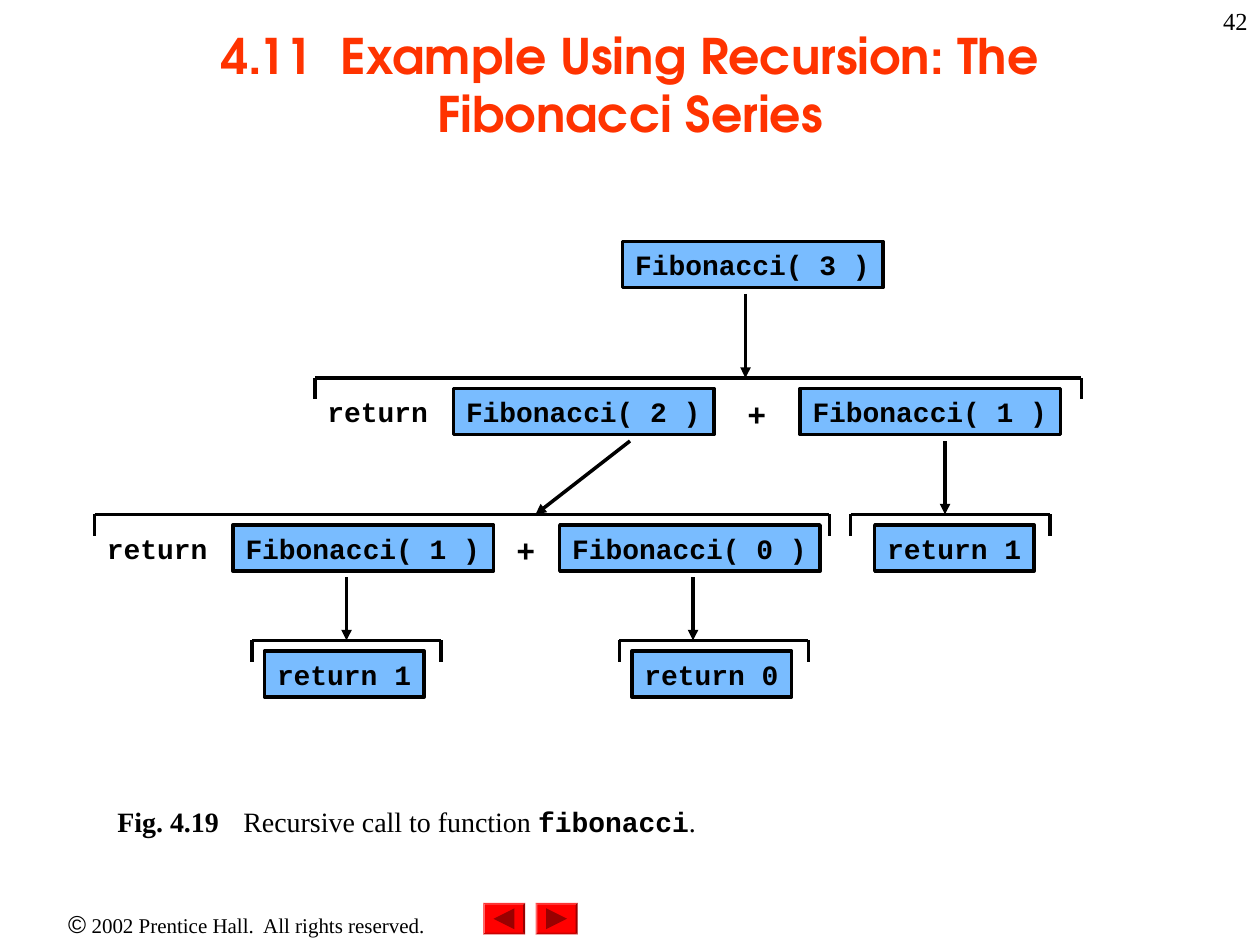
from dataclasses import dataclass

from pptx import Presentation
from pptx import util as u
from pptx.dml.color import RGBColor
from pptx.enum import shapes, text
from pptx.oxml import parse_xml
from pptx.oxml.ns import nsdecls


@dataclass(frozen=True)
class Theme:
    ink: str = "000000"
    heading: str = "FF3300"
    call: str = "79BCFF"
    button: str = "FF0000"
    button_arrow: str = "990000"
    title_font: str = "TeX Gyre Adventor"
    body_font: str = "Times New Roman"
    code_font: str = "Courier New"
    symbol_font: str = "Arial"
    title_size: int = 28
    plus_size: int = 18
    code_size: int = 16
    page_size: int = 14
    notice_size: int = 12
    stroke: float = 2


class RecursionSlide:
    COLUMNS, ROWS = 120, 90

    def __init__(self, deck, theme):
        self.theme = theme
        self.column = deck.slide_width / self.COLUMNS
        self.row = deck.slide_height / self.ROWS
        self.slide = deck.slides.add_slide(deck.slide_layouts[5])

    def place(self, left, top, width, height):
        return [round(share) for share in (left * self.column, top * self.row,
                                           width * self.column, height * self.row)]

    def set_words(self, frame, runs, align=text.PP_ALIGN.LEFT, **frame_format):
        for key, value in frame_format.items():
            setattr(frame, key, value)
        paragraph = frame.paragraphs[0]
        paragraph.alignment = align
        for words, font, size, bold, colour in runs:
            run = paragraph.add_run()
            run.text = words
            for key, value in {"name": font, "size": u.Pt(size), "bold": bold}.items():
                setattr(run.font, key, value)
            run.font.color.rgb = RGBColor.from_string(colour)

    def body(self, words, size, bold=False, font=None):
        return words, font or self.theme.body_font, size, bold, self.theme.ink

    def title(self, words, *area):
        heading = self.slide.shapes.title
        heading.left, heading.top, heading.width, heading.height = self.place(*area)
        theme = self.theme
        self.set_words(heading.text_frame,
                       [(words, theme.title_font, theme.title_size, True, theme.heading)],
                       text.PP_ALIGN.CENTER, word_wrap=True,
                       auto_size=text.MSO_AUTO_SIZE.NONE,
                       vertical_anchor=text.MSO_ANCHOR.MIDDLE)

    def label(self, runs, area, align=text.PP_ALIGN.LEFT):
        label = self.slide.shapes.add_textbox(*self.place(*area))
        self.set_words(label.text_frame, runs, align, word_wrap=True)

    def preset(self, kind, fill, *area):
        shape = self.slide.shapes.add_shape(kind, *self.place(*area))
        shape.shadow.inherit = False
        shape.fill.solid()
        shape.fill.fore_color.rgb = RGBColor.from_string(fill)
        shape.line.fill.background()
        return shape

    def code(self, words, left, top, boxed=True, size=None):
        theme = self.theme
        size = size or theme.code_size
        area = left, top, 2.4 + len(words) * size / 10, 1.2 + size * 0.2
        if boxed:
            holder = self.preset(shapes.MSO_SHAPE.RECTANGLE, theme.call, *area)
            holder.line.color.rgb = RGBColor.from_string(theme.ink)
            holder.line.width = u.Pt(theme.stroke)
        else:
            holder = self.slide.shapes.add_textbox(*self.place(*area))
        self.set_words(holder.text_frame, [self.body(words, size, True, theme.code_font)],
                       word_wrap=False, vertical_anchor=text.MSO_ANCHOR.TOP,
                       auto_size=text.MSO_AUTO_SIZE.SHAPE_TO_FIT_TEXT)

    def line(self, x1, y1, x2, y2, arrow=False):
        line = self.slide.shapes.add_connector(
            shapes.MSO_CONNECTOR.STRAIGHT, *self.place(x1, y1, x2, y2))
        line.line.color.rgb = RGBColor.from_string(self.theme.ink)
        line.line.width = u.Pt(self.theme.stroke)
        if arrow:
            line.line._get_or_add_ln().append(
                parse_xml(f'<a:tailEnd {nsdecls("a")} type="triangle"/>'))
        line._element.spPr.append(parse_xml(f'<a:effectLst {nsdecls("a")}/>'))

    def bracket(self, left, right, top):
        self.line(left, top, right, top)
        for end in (left, right):
            self.line(end, top, end, top + 2)

    def button(self, left, top, turn):
        bevel = self.preset(shapes.MSO_SHAPE.BEVEL, self.theme.button, left, top, 4, 3)
        bevel.adjustments[0] = 0.06
        arrow = self.preset(shapes.MSO_SHAPE.ISOSCELES_TRIANGLE,
                            self.theme.button_arrow, left + 1, top + 0.5, 2, 2)
        arrow.rotation = turn


def main():
    deck = Presentation()
    deck.slide_width, deck.slide_height = u.Inches(10), u.Inches(7.5)
    theme = Theme()
    page = RecursionSlide(deck, theme)

    page.label([page.body("©", theme.page_size, font=theme.symbol_font),
                page.body(" 2002 Prentice Hall.  All rights reserved.", theme.notice_size)],
               (0, 86, 47, 4), text.PP_ALIGN.CENTER)
    for left, turn in ((46, -90), (51, 90)):
        page.button(left, 86, turn)

    page.title("4.11  Example Using Recursion: The Fibonacci Series", 9, 1, 102, 14)
    page.label([page.body("Fig. 4.19\t", theme.code_size, True),
                page.body("Recursive call to function ", theme.code_size),
                page.body("fibonacci", theme.code_size, True, theme.code_font),
                page.body(".", theme.code_size)], (10, 76, 79, 4.4))

    call_rows = {
        23: [("Fibonacci( 3 )", 59.3)],
        37: [("Fibonacci( 2 )", 43.2), ("Fibonacci( 1 )", 76.2)],
        50: [("Fibonacci( 1 )", 22.2), ("Fibonacci( 0 )", 53.3), ("return 1", 83.3)],
        62: [("return 1", 25.2), ("return 0", 60.2)],
    }
    for top, calls in call_rows.items():
        for words, left in calls:
            page.code(words, left, top)

    for top, return_left, plus_left in ((37, 30, 70), (50, 9, 48)):
        page.code("return", return_left, top, boxed=False)
        page.code("+", plus_left, top, boxed=False, size=theme.plus_size)

    for left, right, top in ((30, 103, 36), (9, 79, 49), (81, 100, 49),
                             (24, 42, 61), (59, 77, 61)):
        page.bracket(left, right, top)

    for start, top, end, bottom in ((71, 28, 71, 36), (60, 42, 51, 49), (90, 42, 90, 49),
                                    (33, 55, 33, 61), (66, 55, 66, 61)):
        page.line(start, top, end, bottom, arrow=True)

    page.label([page.body("42", theme.page_size)], (95, 0, 25, 6), text.PP_ALIGN.RIGHT)
    deck.save("out.pptx")


if __name__ == "__main__":
    main()
